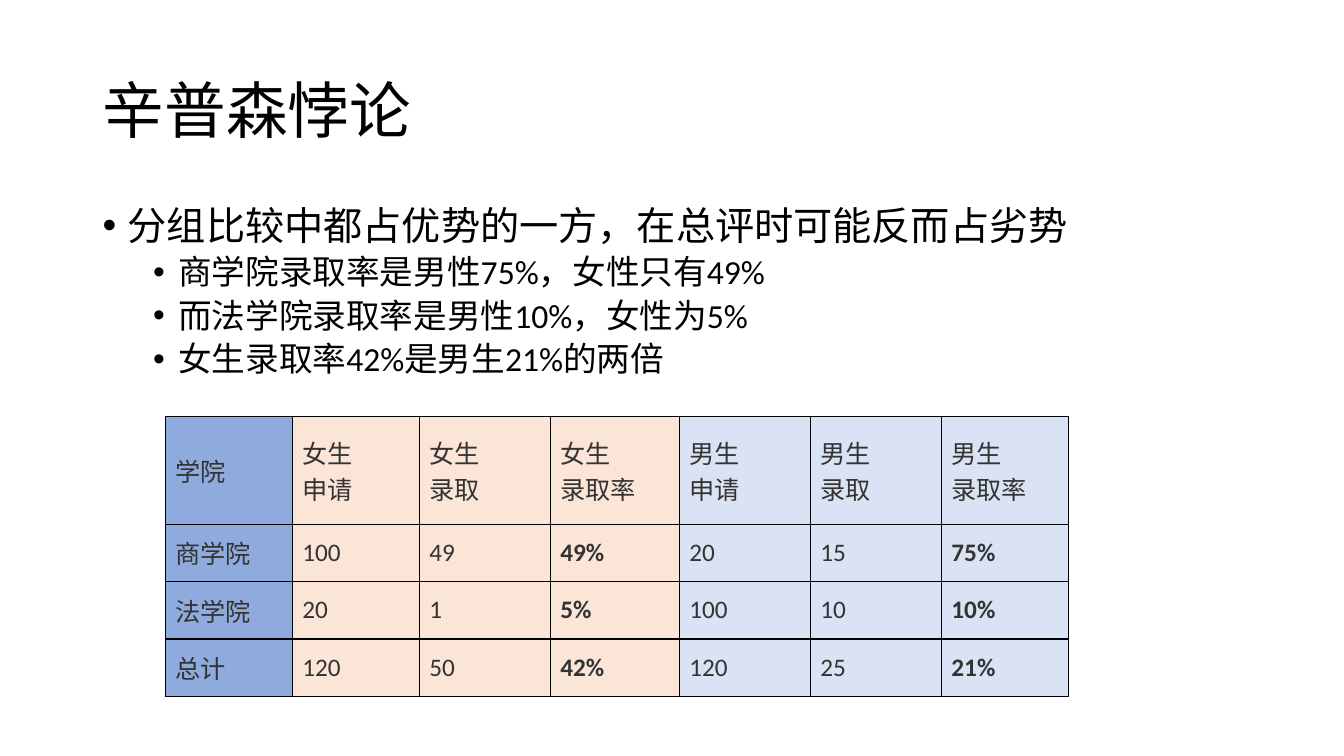
from lxml import etree
from pptx import Presentation
from pptx import util as u
from pptx.dml.color import RGBColor
from pptx.enum import text
from pptx.oxml import ns

WIDTH, HEIGHT = u.Inches(13.33), u.Inches(7.5)
FONT = "Calibri"
BLACK, GREY = "000000", "333333"
COLLEGE_FILL, WOMEN_FILL, MEN_FILL = "8FAADC", "FBE5D6", "DAE3F3"
COLUMN_FILLS = [COLLEGE_FILL] + [WOMEN_FILL] * 3 + [MEN_FILL] * 3
COLUMN_SHARES = [9.45, 9.45, 9.75, 9.6, 9.75, 9.75, 9.45]
ROW_SHARES = [14.27, 7.6, 7.6, 7.6]
RATE_COLUMNS = (3, 6)

TITLE = "辛普森悖论"
POINTS = [
    (0, "分组比较中都占优势的一方，在总评时可能反而占劣势"),
    (1, "商学院录取率是男性75%，女性只有49%"),
    (1, "而法学院录取率是男性10%，女性为5%"),
    (1, "女生录取率42%是男生21%的两倍"),
]
ADMISSIONS = [
    ["学院", "女生\n申请", "女生\n录取", "女生\n录取率", "男生\n申请", "男生\n录取", "男生\n录取率"],
    ["商学院", "100", "49", "49%", "20", "15", "75%"],
    ["法学院", "20", "1", "5%", "100", "10", "10%"],
    ["总计", "120", "50", "42%", "120", "25", "21%"],
]


def across(percent):
    """Return a share of the slide's width."""
    return u.Emu(round(WIDTH * percent / 100))


def down(percent):
    """Return a share of the slide's height."""
    return u.Emu(round(HEIGHT * percent / 100))


def paint(target, color):
    """Give a fill or a font a solid colour."""
    if hasattr(target, "solid"):
        target.solid()
        target.fore_color.rgb = RGBColor.from_string(color)
    else:
        target.color.rgb = RGBColor.from_string(color)


def style(paragraph, size, color, bold=False):
    """Set the font of a left-aligned paragraph."""
    paragraph.alignment = text.PP_ALIGN.LEFT
    paragraph.font.name = FONT
    paragraph.font.size = u.Pt(size)
    paragraph.font.bold = bold
    paint(paragraph.font, color)


def add_title(slide):
    """Place and format the title."""
    title = slide.shapes.title
    title.left, title.top = across(6.9), down(5.33)
    title.width, title.height = across(86.25), down(19.33)
    frame = title.text_frame
    frame.text = TITLE
    frame.auto_size = text.MSO_AUTO_SIZE.NONE
    frame.vertical_anchor = text.MSO_ANCHOR.MIDDLE
    frame.paragraphs[0].line_spacing = 0.9
    style(frame.paragraphs[0], 44, BLACK)


def add_bullet(paragraph, level):
    """Give a paragraph a hanging bullet for its level."""
    paragraph.level = level
    properties = paragraph._p.get_or_add_pPr()
    properties.set("marL", str(u.Inches(0.25 + 0.5 * level)))
    properties.set("indent", str(u.Inches(-0.25)))
    etree.SubElement(properties, ns.qn("a:buFont"), typeface="Arial")
    etree.SubElement(properties, ns.qn("a:buChar"), char="•")


def add_points(slide):
    """Write the bulleted statements."""
    points = slide.shapes.add_textbox(across(6.9), down(26.67), across(86.25), down(63.47))
    frame = points.text_frame
    frame.word_wrap = True
    frame.text = "\n".join(statement for _, statement in POINTS)
    for paragraph, (level, _) in zip(frame.paragraphs, POINTS):
        add_bullet(paragraph, level)
        paragraph.line_spacing = 0.9
        paragraph.space_before = u.Pt(5 if level else 10)
        style(paragraph, 24 if level else 28, BLACK)


def add_borders(cell):
    """Draw thin black lines on all four sides of a cell."""
    properties = cell._tc.get_or_add_tcPr()
    for side in ("lnL", "lnR", "lnT", "lnB"):
        line = etree.SubElement(properties, ns.qn(f"a:{side}"), w=str(u.Pt(1)))
        fill = etree.SubElement(line, ns.qn("a:solidFill"))
        etree.SubElement(fill, ns.qn("a:srgbClr"), val=BLACK)


def fill_cell(cell, content, color, bold):
    """Write, border and colour one table cell."""
    cell.text = content
    cell.vertical_anchor = text.MSO_ANCHOR.MIDDLE
    cell.margin_left = cell.margin_right = u.Inches(0.1)
    cell.margin_top = cell.margin_bottom = u.Inches(0.02)
    add_borders(cell)
    paint(cell.fill, color)
    for paragraph in cell.text_frame.paragraphs:
        style(paragraph, 18, GREY, bold)


def add_admissions(slide):
    """Build the admissions table."""
    admissions = slide.shapes.add_table(
        len(ROW_SHARES), len(COLUMN_SHARES), across(12.3), down(55.07),
        across(sum(COLUMN_SHARES)), down(sum(ROW_SHARES))).table
    admissions.first_row = admissions.horz_banding = False
    for column, share in zip(admissions.columns, COLUMN_SHARES):
        column.width = across(share)
    for row, share in zip(admissions.rows, ROW_SHARES):
        row.height = down(share)
    for r, values in enumerate(ADMISSIONS):
        for c, value in enumerate(values):
            fill_cell(admissions.cell(r, c), value, COLUMN_FILLS[c], r > 0 and c in RATE_COLUMNS)


def main():
    """Build and save the slide."""
    deck = Presentation()
    deck.slide_width, deck.slide_height = WIDTH, HEIGHT
    slide = deck.slides.add_slide(deck.slide_layouts[5])
    add_title(slide)
    add_points(slide)
    add_admissions(slide)
    deck.save("out.pptx")


if __name__ == "__main__":
    main()
